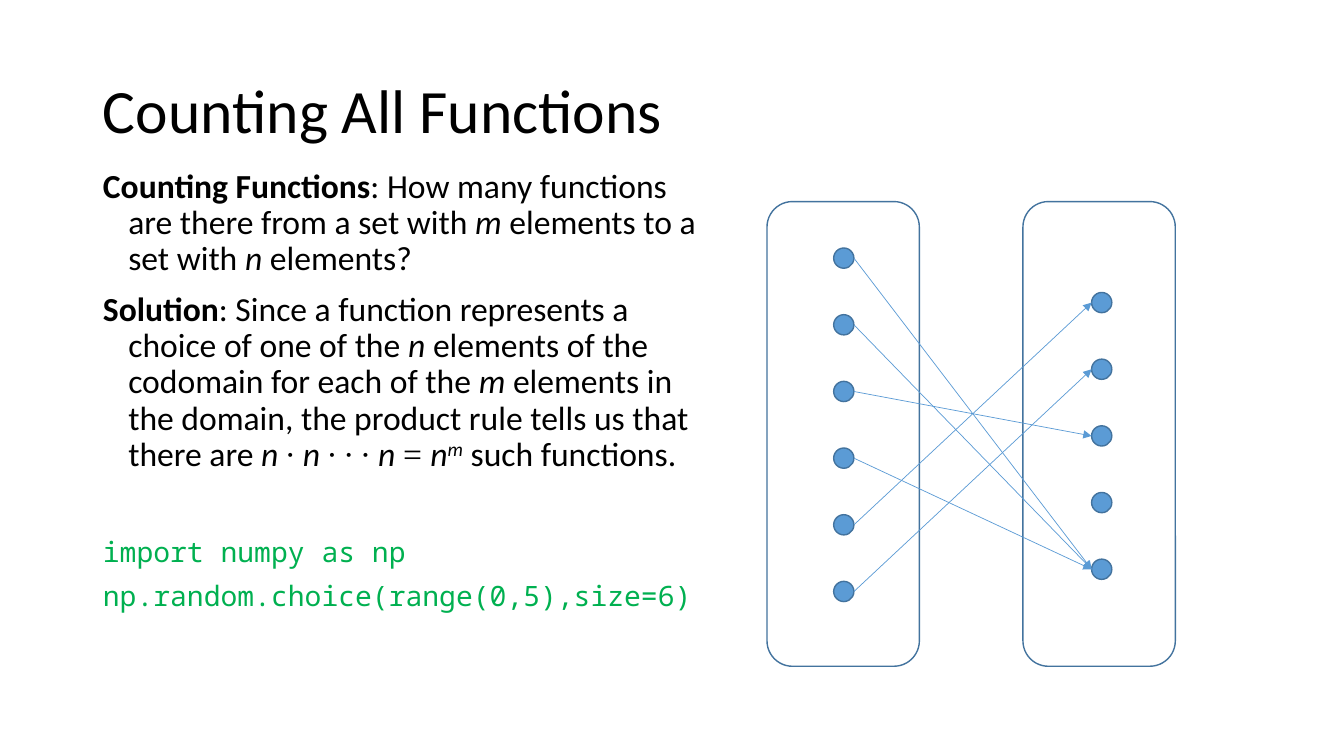
from pptx import Presentation
from pptx.dml.color import RGBColor as Rgb
from pptx.enum.shapes import MSO_CONNECTOR as Link, MSO_SHAPE as Kind
from pptx.enum.text import MSO_ANCHOR as Anchor, MSO_AUTO_SIZE as Fit, PP_ALIGN as Align
from pptx.oxml.ns import qn
from pptx.util import Cm, Pt
from lxml.etree import SubElement as Sub

HUES = {"ink": "000000", "code": "00B050", "dot": "5B9BD5", "edge": "43739E"}
SANS, SERIF, MONO = "Calibri", "Times New Roman", "Noto Sans Mono"
DOT, STEP = 0.51, 1.68
TOP, TALL, WIDE = 5.08, 11.71, 3.84
MAPS = [4, 4, 2, 4, 0, 1]

TASK = [
    ("Counting Functions", {"bold": True}),
    (": How many functions are there from a set with ", {}),
    ("m", {"italic": True}),
    (" elements to a set with ", {}),
    ("n", {"italic": True}),
    (" elements?", {}),
]
PROOF = [
    ("Solution", {"bold": True}),
    (": Since a function represents a choice of one of the ", {}),
    ("n", {"italic": True}),
    (" elements of the codomain for each of the ", {}),
    ("m", {"italic": True}),
    (" elements in the domain, the product rule tells us that there are ", {}),
    ("n ", {"italic": True}),
    ("∙ ", {"face": SERIF}),
    ("n ", {"italic": True}),
    ("∙ ∙ ∙ ", {"face": SERIF}),
    ("n ", {"italic": True}),
    ("= ", {"face": SERIF}),
    ("n", {"italic": True}),
    ("m", {"italic": True, "rise": 30}),
    (" such functions.", {}),
]
CODE = {"size": 20, "face": MONO, "hue": "code"}
LINES = [
    (TASK, 0),
    (PROOF, 10),
    ([("import numpy as np", CODE)], 46),
    ([("np.random.choice(range(0,5),size=6)", CODE)], 10),
]


def color(name):
    return Rgb.from_string(HUES[name])


def write(para, text, size=24, face=SANS, hue="ink", bold=False, italic=False, rise=0):
    run = para.add_run()
    run.text = text
    font = run.font
    font.size, font.name = Pt(size), face
    font.bold, font.italic = bold, italic
    font.color.rgb = color(hue)
    if rise:
        run._r.get_or_add_rPr().set("baseline", str(rise * 1000))


class Board:
    """Draws styled elements on the current slide."""

    def __init__(self, deck):
        self.slide = deck.slides.add_slide(deck.slide_layouts[1])

    def frame(self, index, box, anchor):
        holder = self.slide.placeholders[index]
        holder.left, holder.top, holder.width, holder.height = map(Cm, box)
        frame = holder.text_frame
        frame.auto_size, frame.word_wrap = Fit.NONE, True
        frame.vertical_anchor = anchor
        return frame

    def title(self, text, box):
        para = self.frame(0, box, Anchor.MIDDLE).paragraphs[0]
        para.alignment, para.line_spacing = Align.LEFT, 0.9
        write(para, text, size=44)

    def body(self, lines, box):
        frame = self.frame(1, box, Anchor.TOP)
        for i, (runs, gap) in enumerate(lines):
            para = frame.add_paragraph() if i else frame.paragraphs[0]
            props = para._p.get_or_add_pPr()
            props.set("marL", str(Cm(0.64)))
            props.set("indent", str(-Cm(0.64)))
            Sub(props, qn("a:buNone"))
            para.line_spacing, para.space_before = 0.9, Pt(gap)
            for text, style in runs:
                write(para, text, **style)

    def shape(self, kind, box, fill=None):
        shape = self.slide.shapes.add_shape(kind, *map(Cm, box))
        shape.shadow.inherit = False
        if fill:
            shape.fill.solid()
            shape.fill.fore_color.rgb = color(fill)
        else:
            shape.fill.background()
        shape.line.color.rgb = color("edge")
        shape.line.width = Pt(1)

    def arrow(self, start, end):
        link = self.slide.shapes.add_connector(Link.STRAIGHT, *map(Cm, start + end))
        link.line.color.rgb = color("dot")
        link.line.width = Pt(0.5)
        Sub(link.line._get_or_add_ln(), qn("a:tailEnd"), type="triangle")
        Sub(link._element.spPr, qn("a:effectLst"))

    def dots(self, left, top, count):
        tops = [top + i * STEP for i in range(count)]
        for y in tops:
            self.shape(Kind.OVAL, (left, y, DOT, DOT), "dot")
        return [y + DOT / 2 for y in tops]


def main():
    deck = Presentation()
    deck.slide_width, deck.slide_height = Cm(33.87), Cm(19.05)
    board = Board(deck)
    board.title("Counting All Functions", (2.34, 1.02, 29.21, 3.68))
    board.body(LINES, (2.34, 4.14, 15.57, 13))
    for left in (19.33, 25.78):
        board.shape(Kind.ROUNDED_RECTANGLE, (left, TOP, WIDE, TALL))
    near, far = 21.01, 27.51
    starts = board.dots(near, 6.25, 6)
    ends = board.dots(far, 7.37, 5)
    for y, goal in zip(starts, MAPS):
        board.arrow((near + DOT, y), (far, ends[goal]))
    deck.save("out.pptx")


if __name__ == "__main__":
    main()
